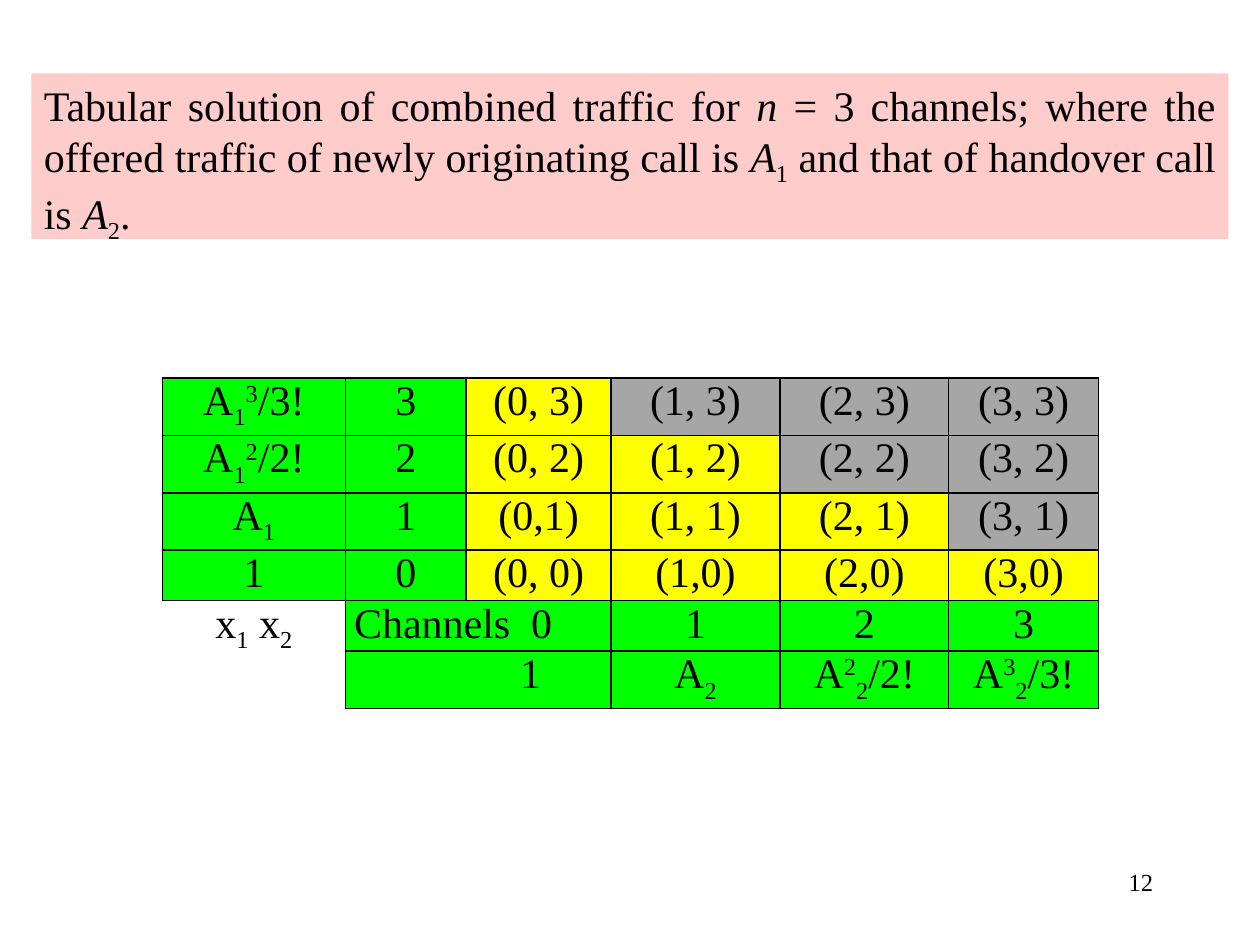
"""Build a slide with the state table of combined traffic over three channels."""
import dataclasses

import lxml.etree
import pptx
import pptx.dml.color
import pptx.enum.shapes
import pptx.enum.text
import pptx.oxml.ns
import pptx.util

Pt = pptx.util.Pt
RGB = pptx.dml.color.RGBColor
ALIGN = pptx.enum.text.PP_ALIGN
ANCHOR = pptx.enum.text.MSO_ANCHOR


@dataclasses.dataclass(frozen=True)
class Theme:
    font: str = "Times New Roman"
    body: float = 24
    small: float = 14
    text: str = "000000"
    line: str = "000000"
    banner: str = "FFCCCC"
    header: str = "00FF00"
    allowed: str = "FFFF00"
    blocked: str = "A6A6A6"


@dataclasses.dataclass(frozen=True)
class Entry:
    row: int
    col: int
    text: str
    fill: str | None
    align: ALIGN = ALIGN.CENTER
    indent: float = 0


THEME = Theme()
CHANNELS = 3
COL_WIDTHS = (104.4, 69.12, 82.8, 96.48, 96.48, 85.68)
ROW_HEIGHT = 23
FIRST_STATE_COL = 2
STATES = (
    ("(0, 3)", "(1, 3)", "(2, 3)", "(3, 3)"),
    ("(0, 2)", "(1, 2)", "(2, 2)", "(3, 2)"),
    ("(0,1)", "(1, 1)", "(2, 1)", "(3, 1)"),
    ("(0, 0)", "(1,0)", "(2,0)", "(3,0)"),
)
ROW_WEIGHTS = ("A_1^3/3!", "A_1^2/2!", "A_1", "1")
COL_WEIGHTS = ("A_2", "A^2_2/2!", "A^3_2/3!")
TITLE = ("Tabular solution of combined traffic for ~n = 3 channels; where the "
         "offered traffic of newly originating call is ~A_1 and that of "
         "handover call is ~A_2.")


def split_marks(text: str) -> list[tuple[str, str]]:
    """Split text into (mark, piece); a mark (_ ^ ~) governs the next character."""
    pieces: list[tuple[str, str]] = []
    mark = ""
    for ch in text:
        if ch in "_^~":
            mark = ch
        elif not mark and pieces and not pieces[-1][0]:
            pieces[-1] = ("", pieces[-1][1] + ch)
        else:
            pieces.append((mark, ch))
            mark = ""
    return pieces


def write(p, text: str, size: float, align: ALIGN) -> None:
    """Write marked-up text into a paragraph."""
    p.alignment = align
    p.font.name = THEME.font
    p.font.size = Pt(size)
    p.font.color.rgb = RGB.from_string(THEME.text)
    for mark, piece in split_marks(text):
        r = p.add_run()
        r.text = piece
        if mark == "~":
            r.font.italic = True
        elif mark:
            r.font._element.set("baseline", "-25000" if mark == "_" else "30000")


def set_borders(cell, sides: str) -> None:
    """Rule the given sides of a cell and clear the others."""
    tc_pr = cell._tc.get_or_add_tcPr()
    qn = pptx.oxml.ns.qn
    for side in "LRTB":
        ln = lxml.etree.SubElement(tc_pr, qn(f"a:ln{side}"), w=str(Pt(1)))
        if side in sides:
            fill = lxml.etree.SubElement(ln, qn("a:solidFill"))
            lxml.etree.SubElement(fill, qn("a:srgbClr"), val=THEME.line)
        else:
            lxml.etree.SubElement(ln, qn("a:noFill"))


def table_entries() -> list[Entry]:
    """List the filled cells of the table."""
    entries = []
    for row, (weight, states) in enumerate(zip(ROW_WEIGHTS, STATES)):
        x1 = CHANNELS - row
        entries += [Entry(row, 0, weight, THEME.header),
                    Entry(row, 1, str(x1), THEME.header)]
        for x2, state in enumerate(states):
            fill = THEME.allowed if x1 + x2 <= CHANNELS else THEME.blocked
            entries.append(Entry(row, FIRST_STATE_COL + x2, state, fill))
    entries += [Entry(4, 0, "x_1 x_2", None),
                Entry(4, 1, "Channels  0", THEME.header, ALIGN.LEFT),
                Entry(5, 1, "1", THEME.header, indent=60)]
    for x2, weight in enumerate(COL_WEIGHTS, 1):
        col = FIRST_STATE_COL + x2
        entries += [Entry(4, col, str(x2), THEME.header),
                    Entry(5, col, weight, THEME.header)]
    return entries


def fill_cell(table, entry: Entry) -> None:
    """Fill one table cell with its text and colour."""
    cell = table.cell(entry.row, entry.col)
    p = cell.text_frame.paragraphs[0]
    write(p, entry.text, THEME.body, entry.align)
    if entry.indent:
        p._p.get_or_add_pPr().set("marL", str(Pt(entry.indent)))
    if entry.fill:
        cell.fill.solid()
        cell.fill.fore_color.rgb = RGB.from_string(entry.fill)
    else:
        cell.fill.background()


def add_state_table(s) -> None:
    """Add the table of channel states."""
    rows = len(STATES) + 2
    sp = s.shapes.add_table(rows, len(COL_WIDTHS), Pt(92.88), Pt(216),
                            Pt(sum(COL_WIDTHS)), Pt(rows * ROW_HEIGHT))
    table = sp.table
    table.first_row = table.horz_banding = False
    for column, width in zip(table.columns, COL_WIDTHS):
        column.width = Pt(width)
    for i, row in enumerate(table.rows):
        row.height = Pt(ROW_HEIGHT)
        for j, cell in enumerate(row.cells):
            cell.margin_left = cell.margin_right = Pt(5.04)
            cell.margin_top = cell.margin_bottom = 0
            set_borders(cell, "TR" if i >= len(STATES) and j == 0 else "LRTB")
    table.cell(4, 0).merge(table.cell(5, 0))
    for row in (4, 5):
        table.cell(row, 1).merge(table.cell(row, 2))
    for entry in table_entries():
        fill_cell(table, entry)


def add_banner(s) -> None:
    """Add the tinted statement at the top."""
    sp = s.shapes.add_shape(pptx.enum.shapes.MSO_SHAPE.RECTANGLE,
                            Pt(18), Pt(42), Pt(684), Pt(94.5))
    sp.shadow.inherit = False
    sp.fill.solid()
    sp.fill.fore_color.rgb = RGB.from_string(THEME.banner)
    sp.line.fill.background()
    tf = sp.text_frame
    tf.word_wrap = True
    tf.vertical_anchor = ANCHOR.TOP
    write(tf.paragraphs[0], TITLE, THEME.body, ALIGN.JUSTIFY)


def add_page_number(s) -> None:
    """Add the page number at the lower right."""
    tf = s.shapes.add_textbox(Pt(516), Pt(492), Pt(150), Pt(36)).text_frame
    tf.word_wrap = True
    write(tf.paragraphs[0], "12", THEME.small, ALIGN.RIGHT)


def main() -> None:
    """Build and save the slide."""
    prs = pptx.Presentation()
    prs.slide_width, prs.slide_height = Pt(720), Pt(540)
    s = prs.slides.add_slide(prs.slide_layouts[6])
    add_page_number(s)
    add_state_table(s)
    add_banner(s)
    prs.save("out.pptx")


if __name__ == "__main__":
    main()
